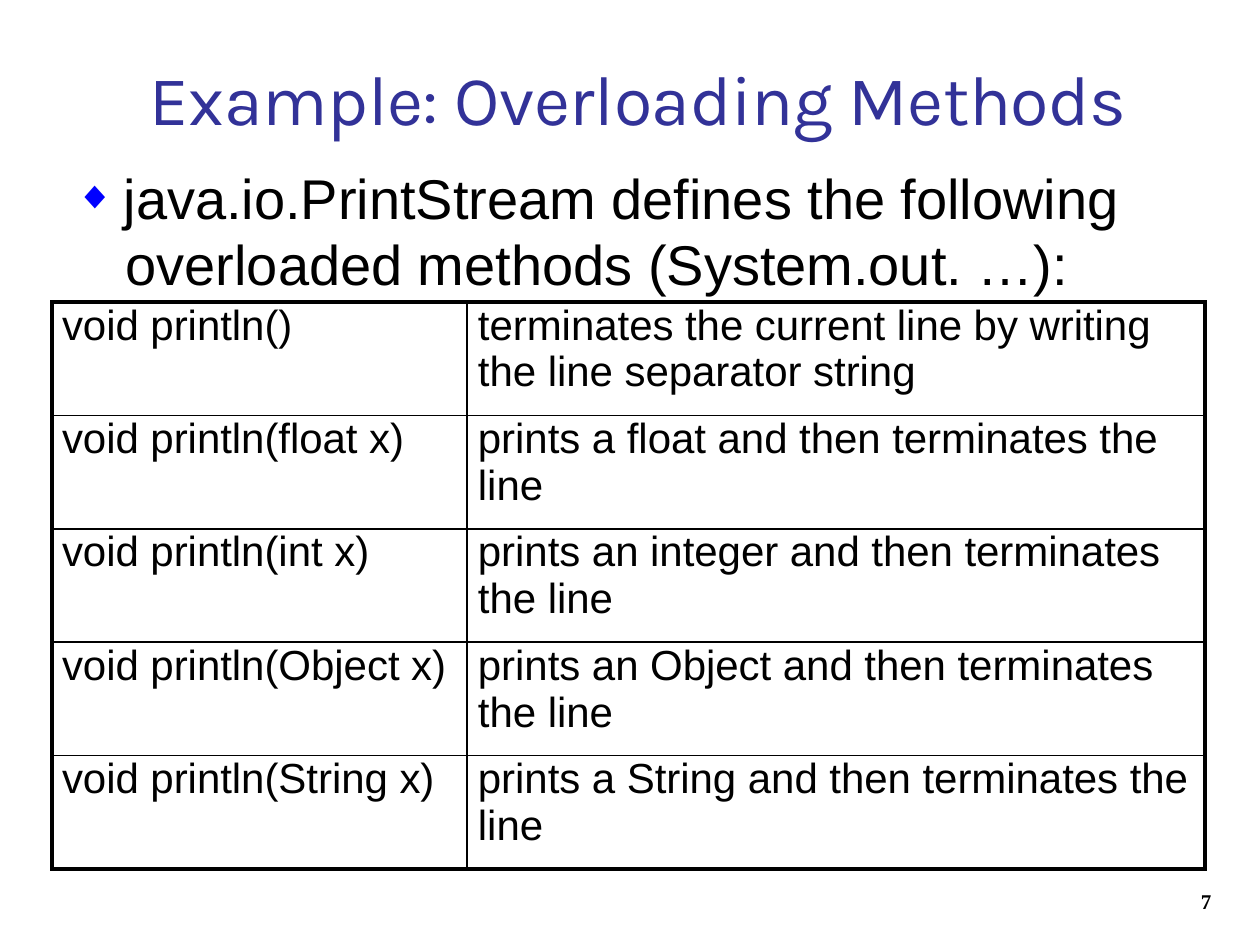
from typing import NamedTuple

from lxml.etree import SubElement
from pptx import Presentation
from pptx.dml.color import RGBColor
from pptx.enum.text import MSO_ANCHOR as Anchor, MSO_AUTO_SIZE as Auto, PP_ALIGN as Align
from pptx.oxml.ns import qn
from pptx.util import Emu, Pt

EMU_PER_PX = 914400 / 126
INK, NAVY, BLUE = "000000", "323298", "0000FF"
THICK, THIN = 2.25, 1


class Face(NamedTuple):
    font: str
    size: int
    color: str = INK
    bold: bool = False
    track: int = 0  # hundredths of a point


class Method(NamedTuple):
    call: str
    does: tuple[str, ...]


TITLE = Face("Karla", 40, NAVY, track=-20)
BODY = Face("Arial", 32, track=-4)
CELL = Face("Arial", 24, track=-4)
PAGE = Face("Times New Roman", 12, bold=True)

METHODS = [
    Method("void println()",
           ("terminates the current line by writing the line separator string",)),
    Method("void println(float x)", ("prints a float and then terminates the line",)),
    Method("void println(int x)", ("prints an integer and then terminates the line",)),
    Method("void println(Object x)", ("prints an Object and then terminates the line",)),
    Method("void println(String x)", ("prints a String and then terminates the", "line")),
]


def px(n: int) -> Emu:
    return Emu(round(n * EMU_PER_PX))


def rgb(code: str) -> RGBColor:
    return RGBColor.from_string(code)


def place(shape, left: int, top: int, width: int, height: int) -> None:
    shape.left, shape.top = px(left), px(top)
    shape.width, shape.height = px(width), px(height)


def set_frame(frame) -> None:
    frame.margin_left = frame.margin_right = frame.margin_top = frame.margin_bottom = 0
    frame.word_wrap = True
    frame.vertical_anchor = Anchor.TOP
    frame.auto_size = Auto.SHAPE_TO_FIT_TEXT


def write(para, text: str, face: Face, margin: int = 0, indent: int = 0,
          align=Align.LEFT, line: float | None = None, before: float = 0) -> None:
    para.alignment = align
    para.space_before = Pt(before)
    if line:
        para.line_spacing = Pt(line)
    props = para._p.get_or_add_pPr()
    props.set("marL", str(px(margin)))
    props.set("indent", str(px(indent)))
    run = para.add_run()
    run.text = text
    font = run.font
    font.name, font.size, font.bold = face.font, Pt(face.size), face.bold
    font.color.rgb = rgb(face.color)
    run._r.get_or_add_rPr().set("spc", str(face.track))


def set_bullet(para, char: str, color: str, percent: int) -> None:
    props = para._p.get_or_add_pPr()
    tint = SubElement(props, qn("a:buClr"))
    SubElement(tint, qn("a:srgbClr"), val=color)
    SubElement(props, qn("a:buSzPct"), val=str(percent * 1000))
    SubElement(props, qn("a:buChar"), char=char)


def set_edges(cell, edges: dict[str, float]) -> None:
    props = cell._tc.get_or_add_tcPr()
    for side, width in edges.items():
        edge = SubElement(props, qn(f"a:ln{side}"), w=str(Pt(width)))
        fill = SubElement(edge, qn("a:solidFill"))
        SubElement(fill, qn("a:srgbClr"), val=INK)


def fill_cell(cell, lines: tuple[str, ...], margin: int) -> None:
    cell.margin_left = cell.margin_right = cell.margin_top = cell.margin_bottom = 0
    cell.vertical_anchor = Anchor.TOP
    frame = cell.text_frame
    for i, text in enumerate(lines):
        para = frame.add_paragraph() if i else frame.paragraphs[0]
        write(para, text, CELL, margin)


def add_grid(slide, methods: list[Method]) -> None:
    count = len(methods)
    grid = slide.shapes.add_table(count, 2, px(52), px(302), px(1153), px(567)).table
    grid.first_row = grid.horz_banding = False
    for col, width in zip(grid.columns, (415, 738)):
        col.width = px(width)
    for i, method in enumerate(methods):
        for j, (lines, margin) in enumerate((((method.call,), 10), (method.does, 11))):
            cell = grid.cell(i, j)
            fill_cell(cell, lines, margin)
            set_edges(cell, {
                "L": THIN if j else THICK,
                "R": THICK if j else THIN,
                "T": THIN if i else THICK,
                "B": THICK if i == count - 1 else THIN,
            })
            cell.fill.background()


def main() -> None:
    deck = Presentation()
    deck.slide_width, deck.slide_height = px(1260), px(945)
    slide = deck.slides.add_slide(deck.slide_layouts[1])

    title = slide.shapes.title
    place(title, 84, 57, 1090, 71)
    set_frame(title.text_frame)
    write(title.text_frame.paragraphs[0], "Example: Overloading Methods", TITLE,
          margin=66, line=46.9)

    body = slide.placeholders[1]
    place(body, 74, 163, 1046, 123)
    set_frame(body.text_frame)
    first = body.text_frame.paragraphs[0]
    write(first, "java.io.PrintStream defines the following", BODY,
          margin=49, indent=-48, align=Align.CENTER, before=3)
    set_bullet(first, "◆", BLUE, 70)
    second = body.text_frame.add_paragraph()
    write(second, "overloaded methods (System.out. …):", BODY,
          align=Align.CENTER, line=38.1)
    SubElement(second._p.get_or_add_pPr(), qn("a:buNone"))

    add_grid(slide, METHODS)

    page = slide.shapes.add_textbox(px(1187), px(891), px(48), px(23))
    set_frame(page.text_frame)
    write(page.text_frame.paragraphs[0], "7", PAGE, margin=14, line=13.2)

    deck.save("out.pptx")


if __name__ == "__main__":
    main()
